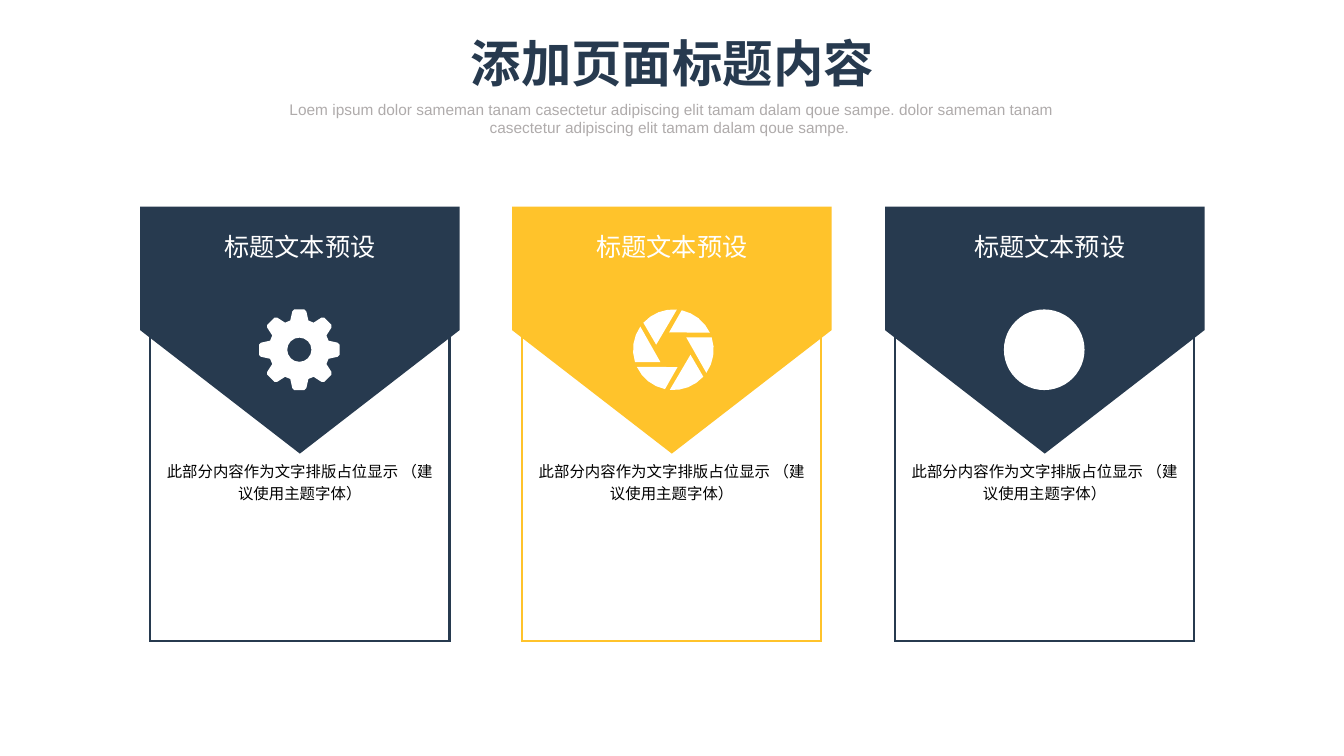
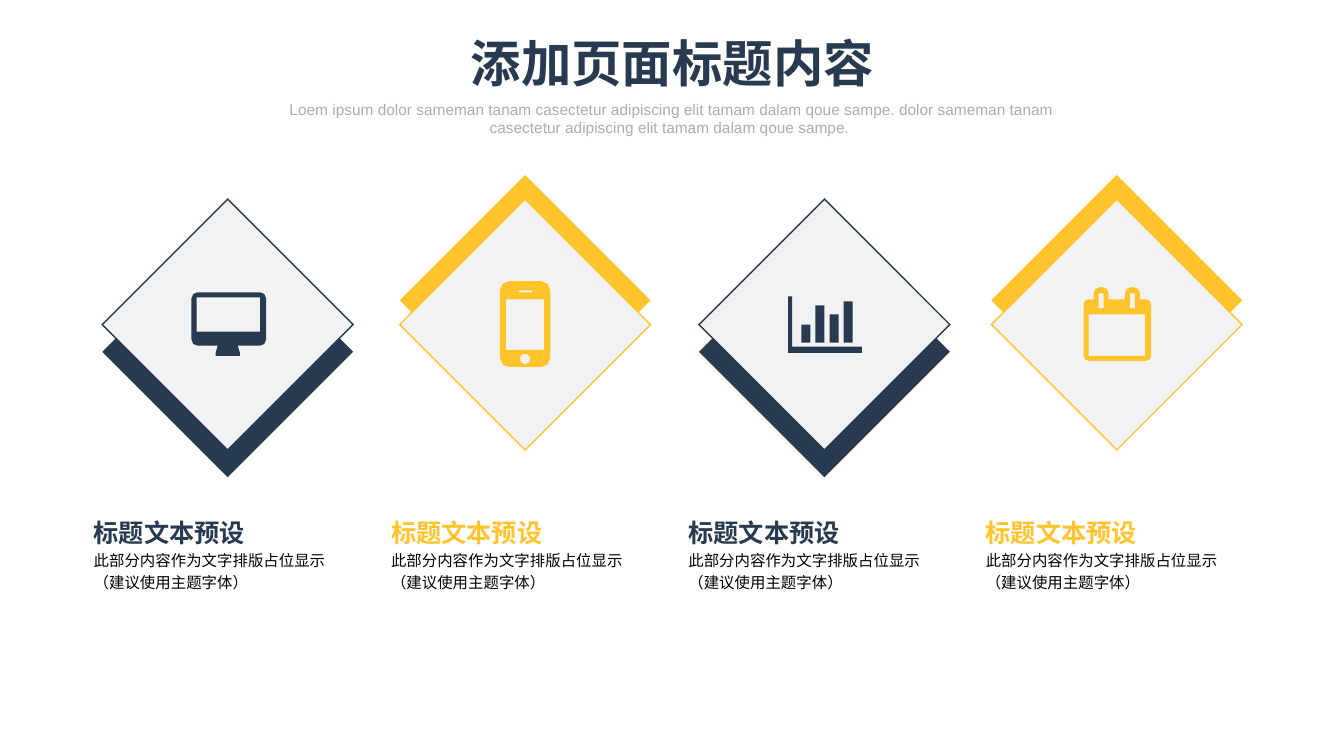
from math import cos, sin, radians
from lxml.etree import SubElement
from pptx import Presentation
from pptx.dml.color import RGBColor
from pptx.enum.shapes import MSO_SHAPE as Kind
from pptx.enum.text import MSO_ANCHOR as Anchor, PP_ALIGN as Align
from pptx.oxml.ns import qn
from pptx.util import Pt

PX = 9144
NAVY = RGBColor(0x27, 0x3A, 0x4F)
GOLD = RGBColor(0xFF, 0xC3, 0x2B)
GREY = RGBColor(0xAF, 0xAB, 0xAB)
PALE = RGBColor(0xF2, 0xF2, 0xF2)
WHITE = RGBColor(0xFF, 0xFF, 0xFF)
BLACK = RGBColor(0, 0, 0)
FONT = "Arial"

TITLE = "添加页面标题内容"
LEAD = ("Loem ipsum dolor sameman tanam casectetur adipiscing elit tamam dalam qoue sampe. "
        "dolor sameman tanam casectetur adipiscing elit tamam dalam qoue sampe. ")
HEAD = "标题文本预设"
NOTE = "此部分内容作为文字排版占位显示 （建议使用主题字体）"
BODY = "此部分内容作为文字排版占位显示\n（建议使用主题字体）"


def px(n):
    return round(n * PX)


def area(*sides):
    return [px(n) for n in sides]


def arc(x, y, r, start, end, steps):
    turns = [radians(start + (end - start) * i / steps) for i in range(steps + 1)]
    return [(x + r * cos(a), y + r * sin(a)) for a in turns]


def disc(x, y, r):
    return arc(x, y, r, 0, 360, 16)[:-1]


def bend(x, y, r, start):
    return arc(x, y, r, start, start + 90, 2) if r else [(x, y)]


def box(x, y, w, h, top=0, foot=None):
    foot = top if foot is None else foot
    return (bend(x + top, y + top, top, 180)
            + bend(x + w - top, y + top, top, 270)
            + bend(x + w - foot, y + h - foot, foot, 0)
            + bend(x + foot, y + h - foot, foot, 90))


def spin(dots, angle):
    c, s = cos(radians(angle)), sin(radians(angle))
    return [(x * c - y * s, x * s + y * c) for x, y in dots]


TOOTH = [(-9, -29), (-7, -38), (-5, -40), (5, -40), (7, -38), (9, -29)]
BLADE = arc(0, 0, 40, -138, -85, 4) + [(-17, -5)]
BARS = [(-23, 0), (-9, -19), (5, -10), (19, -23)]

GEAR = [[dot for i in range(8) for dot in spin(TOOTH, 45 * i)], disc(0, 0, 12)]
LENS = [spin(BLADE, 60 * i) for i in range(6)]
SCREEN = [
    box(-36, -32, 74, 53, 6),
    box(-31, -27, 63, 34),
    [(-10, 21), (10, 21), (12, 28), (12, 31), (-12, 31), (-12, 28)],
]
PHONE = [
    box(-25, -43, 50, 85, 9),
    box(-19, -25, 38, 50),
    box(-6, -34, 13, 2),
    disc(0, 34, 5),
]
CHART = [[(-36, -28), (-32, -28), (-32, 22), (37, 22), (37, 28), (-36, 28)]]
CHART += [box(x, y, 9, 18 - y) for x, y in BARS]
DATES = [box(-33, -25, 67, 61, 5), box(-28, -10, 56, 41)]
for left in (-23, 8):
    DATES += [box(left, -37, 15, 12, 6, 0), box(left + 5, -31, 5, 15)]

CARDS = [
    (149, NAVY, HEAD, NOTE, GEAR, 297, 5),
    (518, GOLD, HEAD, NOTE, LENS, 668, 5),
    (888, NAVY, HEAD, NOTE, None, 1036, 0),
]
TILES = [
    (226, NAVY, 349, HEAD, BODY, SCREEN),
    (521, GOLD, 298, HEAD, BODY, PHONE),
    (818, NAVY, 349, HEAD, BODY, CHART),
    (1108, GOLD, 298, HEAD, BODY, DATES),
]


def write(shape, text, size, color, bold=False, align=Align.LEFT, anchor=Anchor.TOP,
          pad=(0, 0, 0, 0), wrap=True, space=None):
    frame = shape.text_frame
    frame.word_wrap = wrap
    frame.vertical_anchor = anchor
    (frame.margin_left, frame.margin_top,
     frame.margin_right, frame.margin_bottom) = area(*pad)
    para = frame.paragraphs[0]
    para.text = text
    para.alignment = align
    if space:
        para.line_spacing = space
    font = para.font
    font.name, font.size, font.bold = FONT, Pt(size), bold
    font.color.rgb = color


def paint(shape, fill=None, line=None, width=1):
    shape.shadow.inherit = False
    if fill is None:
        shape.fill.background()
    else:
        shape.fill.solid()
        shape.fill.fore_color.rgb = fill
    if line is None:
        shape.line.fill.background()
    else:
        shape.line.color.rgb = line
        shape.line.width = Pt(width)
        SubElement(shape.line._ln, qn("a:miter"), lim="800000")
    return shape


def draw(slide, kind, spot, angle=0, **look):
    shape = slide.shapes.add_shape(kind, *area(*spot))
    shape.rotation = angle
    return paint(shape, **look)


def label(slide, spot, *words, **style):
    write(slide.shapes.add_textbox(*area(*spot)), *words, **style)


def icon(slide, x, y, loops, color):
    pen = None
    for loop in loops:
        dots = [(px(a), px(b)) for a, b in loop]
        if pen is None:
            pen = slide.shapes.build_freeform(*dots[0], scale=1.0)
        else:
            pen.move_to(*dots[0])
        pen.add_line_segments(dots[1:], close=True)
    paint(pen.convert_to_shape(px(x), px(y)), fill=color)


def start(deck):
    slide = deck.slides.add_slide(deck.slide_layouts[5])
    title = slide.shapes.title
    title.left, title.top, title.width, title.height = area(455, 27, 424, 71)
    pad = (10, 5, 10, 5)
    write(title, TITLE, 36, NAVY, bold=True, align=Align.CENTER, pad=pad, wrap=False)
    label(slide, (250, 94, 833, 66), LEAD, 11, GREY, align=Align.CENTER, pad=pad)
    return slide


def cards(deck):
    slide = start(deck)
    wide, tall, span, drop = 297, 417, 317, 245
    for left, color, head, body, loops, spot, inset in CARDS:
        mid = left + wide / 2
        frame = draw(slide, Kind.RECTANGLE, (left, 219, wide, tall), line=color, width=1.5)
        write(frame, body, 11, BLACK, align=Align.CENTER, pad=(10, 236, 10, 5), space=1.2)
        flag = draw(slide, Kind.PENTAGON, (mid - drop / 2, 169, drop, span), 90, fill=color)
        write(flag, head, 18, WHITE, align=Align.CENTER, pad=(24, inset, 10, 5), wrap=False)
        flag.text_frame._txBody.bodyPr.set("vert", "vert270")
        if loops:
            icon(slide, spot, 347, loops, WHITE)
        else:
            draw(slide, Kind.OVAL, (spot - 40, 307, 80, 80), fill=WHITE)


def tiles(deck):
    slide = start(deck)
    side, level = 176, 322
    for i, (mid, color, back, head, body, loops) in enumerate(TILES):
        left = mid - side / 2
        for y, look in ((back, {"fill": color}), (level, {"fill": PALE, "line": color})):
            draw(slide, Kind.RECTANGLE, (left, y - side / 2, side, side), 315, **look)
        icon(slide, mid, level, loops, color)
        edge = 93 + 295 * i
        label(slide, (edge, 512, 267, 31), head, 18, color, bold=True,
              anchor=Anchor.BOTTOM, wrap=False)
        label(slide, (edge, 543, 267, 93), body, 11, BLACK, space=1.2)


def main():
    deck = Presentation()
    deck.slide_width, deck.slide_height = area(1333.33, 750)
    cards(deck)
    tiles(deck)
    deck.save("out.pptx")


if __name__ == "__main__":
    main()
